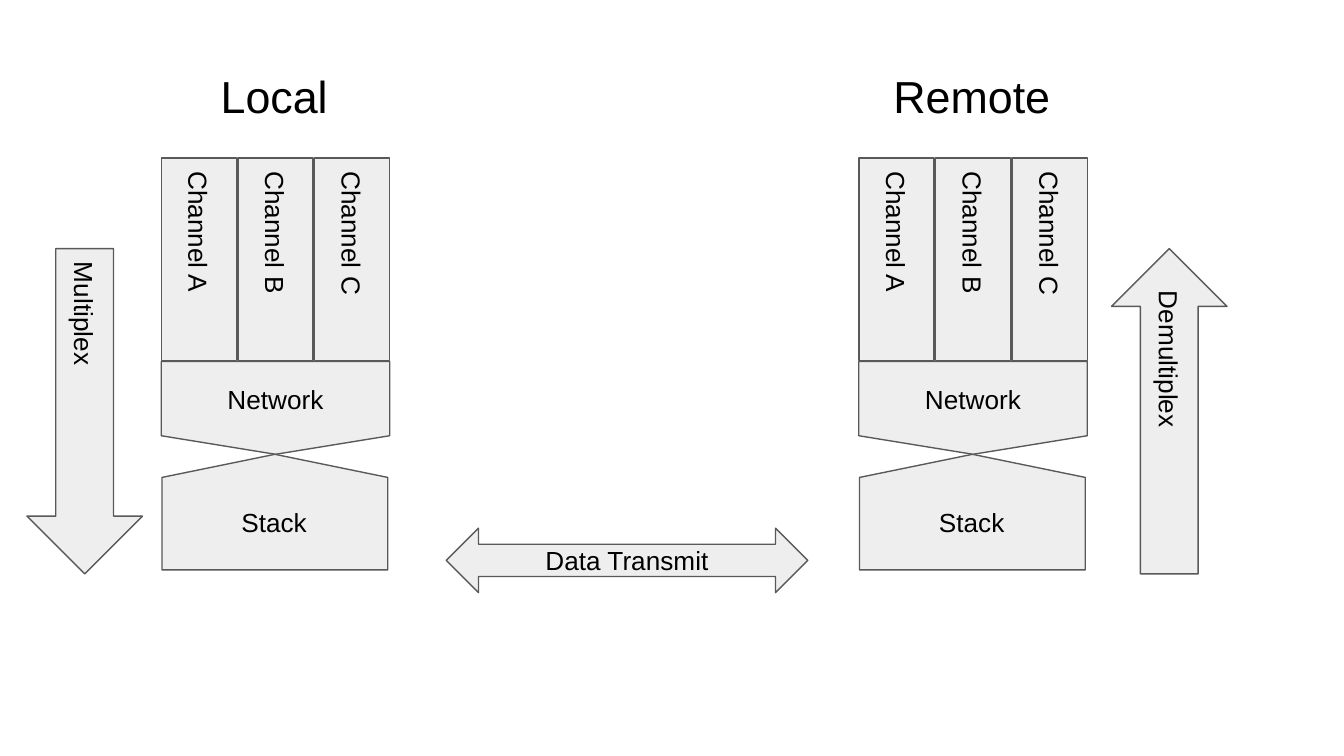
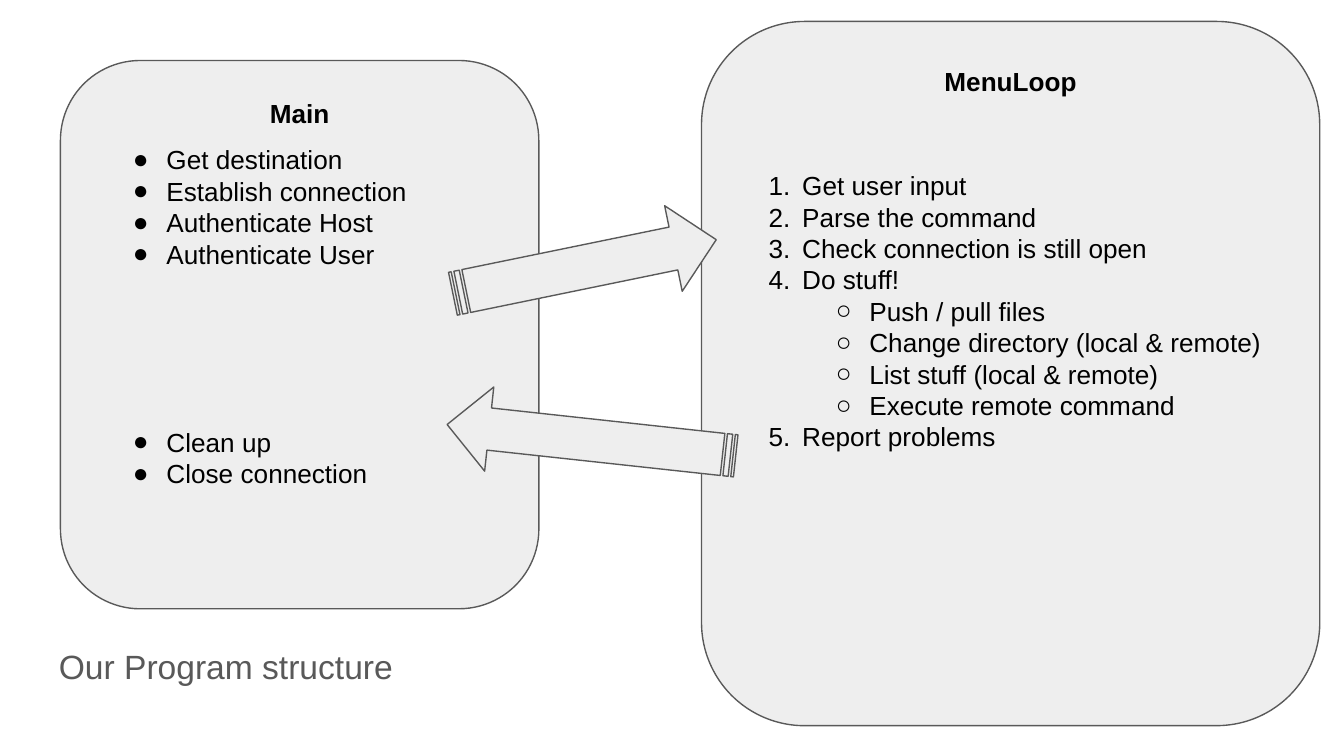
"""Build two slides: channel multiplexing between hosts, and the program structure."""
from dataclasses import dataclass
from typing import Optional

from lxml import etree
from pptx import Presentation
from pptx.dml.color import RGBColor
from pptx.enum.shapes import MSO_SHAPE
from pptx.enum.text import MSO_ANCHOR, PP_ALIGN
from pptx.oxml.ns import qn
from pptx.shapes.autoshape import Shape
from pptx.slide import Slide
from pptx.util import Inches, Pt

RECT = MSO_SHAPE.RECTANGLE
ROUNDED = MSO_SHAPE.ROUNDED_RECTANGLE
FUNNEL = MSO_SHAPE.FLOWCHART_OFFPAGE_CONNECTOR
LEFT_ARROW = MSO_SHAPE.LEFT_ARROW
RIGHT_ARROW = MSO_SHAPE.RIGHT_ARROW
TWO_WAY_ARROW = MSO_SHAPE.LEFT_RIGHT_ARROW
STRIPED_ARROW = MSO_SHAPE.STRIPED_RIGHT_ARROW
TOP, MIDDLE = MSO_ANCHOR.TOP, MSO_ANCHOR.MIDDLE
LEFT, CENTER = PP_ALIGN.LEFT, PP_ALIGN.CENTER

PALE = RGBColor(0xEE, 0xEE, 0xEE)
GREY = RGBColor(0x59, 0x59, 0x59)
BLACK = RGBColor(0, 0, 0)

FONT = "Arial"
BODY_SIZE, CAPTION_SIZE, HEADING_SIZE = 14, 18, 24
LINE_HEIGHT = 16.8
SLIDE_WIDTH, SLIDE_HEIGHT = Inches(10), Inches(5.625)
CELL = SLIDE_WIDTH // 100
INSET = 1
INDENT = 2.5
DOT, RING, NUMBER = "\u25cf", "\u25cb", "arabicPeriod"


@dataclass(frozen=True)
class Box:
    """A place on the slide, in grid columns and rows."""

    left: float
    top: float
    width: float
    height: float

    def shifted(self, columns: float) -> "Box":
        """Return the same box moved sideways."""
        return Box(self.left + columns, self.top, self.width, self.height)

    def emu(self) -> list[int]:
        """Return the box in drawing units."""
        return [round(n * CELL) for n in (self.left, self.top, self.width, self.height)]


@dataclass(frozen=True)
class Item:
    """A line of text with its list marker."""

    text: str
    marker: Optional[str] = None
    level: int = 0
    lines_before: int = 0


@dataclass(frozen=True)
class Host:
    """One end of the link."""

    title: str
    left: float


@dataclass(frozen=True)
class Panel:
    """A titled part of the program and its steps."""

    title: str
    frame: Box
    steps_box: Box
    steps: list[Item]
    inset_top: float = INSET


HOSTS = [Host("Local", 12), Host("Remote", 63.9)]
CHANNELS = ["Channel A", "Channel B", "Channel C"]
CHANNEL_BOX = Box(-4.75, 16.5, 15.1, 5.6)
CHANNEL_STEP = 5.7
HEADING_BOX = Box(-0.2, 4.1, 17.2, 6.9)
NETWORK_BOX = Box(0, 26.9, 17, 6.9)
STACK_BOX = Box(0.05, 33.8, 16.8, 8.6)
STACK_LABEL_BOX = Box(0, 36.7, 16.8, 4.4)

PANELS = [
    Panel("Main", Box(4.5, 4.5, 35.6, 40.8), Box(6.4, 9.7, 31.4, 34.1), [
        Item("Get destination", DOT),
        Item("Establish connection", DOT),
        Item("Authenticate Host", DOT),
        Item("Authenticate User", DOT),
        Item("Clean up", DOT, lines_before=5),
        Item("Close connection", DOT),
    ]),
    Panel("MenuLoop", Box(52.2, 1.6, 46, 52.4), Box(53.7, 9.3, 43.8, 39), [
        Item("Get user input", NUMBER),
        Item("Parse the command", NUMBER),
        Item("Check connection is still open", NUMBER),
        Item("Do stuff!", NUMBER),
        Item("Push / pull files", RING, 1),
        Item("Change directory (local & remote)", RING, 1),
        Item("List stuff (local & remote)", RING, 1),
        Item("Execute remote command", RING, 1),
        Item("Report problems", NUMBER),
    ], inset_top=3.33),
]
CALLS = [(Box(33.5, 16.6, 20, 6.5), 348.4), (Box(33.2, 29.6, 21.6, 6.3), 186.2)]


def write(shape: Shape, *items: Item, size: float = BODY_SIZE, color: RGBColor = BLACK,
          bold: bool = False, align: PP_ALIGN = LEFT, anchor: MSO_ANCHOR = TOP,
          inset_top: float = INSET) -> None:
    """Fill a shape with formatted paragraphs."""
    frame = shape.text_frame
    frame.word_wrap = True
    frame.vertical_anchor = anchor
    frame.margin_left = frame.margin_right = frame.margin_bottom = INSET * CELL
    frame.margin_top = round(inset_top * CELL)
    for index, item in enumerate(items):
        paragraph = frame.add_paragraph() if index else frame.paragraphs[0]
        paragraph.alignment = align
        paragraph.level = item.level
        if item.lines_before:
            paragraph.space_before = Pt(item.lines_before * LINE_HEIGHT)
        run = paragraph.add_run()
        run.text = item.text
        run.font.name, run.font.size, run.font.bold = FONT, Pt(size), bold
        run.font.color.rgb = color
        if item.marker:
            properties = paragraph._p.get_or_add_pPr()
            properties.set("marL", str(round(2 * INDENT * CELL * (item.level + 1))))
            properties.set("indent", str(round(-INDENT * CELL)))
            etree.SubElement(properties, qn("a:buFont"), typeface=FONT)
            if item.marker == NUMBER:
                etree.SubElement(properties, qn("a:buAutoNum"), type=NUMBER)
            else:
                etree.SubElement(properties, qn("a:buChar"), char=item.marker)


def add_block(slide: Slide, kind: MSO_SHAPE, box: Box, rotation: float = 0) -> Shape:
    """Draw a pale outlined shape."""
    block = slide.shapes.add_shape(kind, *box.emu())
    block.rotation = rotation
    block.shadow.inherit = False
    block.fill.solid()
    block.fill.fore_color.rgb = PALE
    block.line.color.rgb = GREY
    block.line.width = Pt(0.75)
    return block


def add_label(slide: Slide, box: Box) -> Shape:
    """Add an empty text box."""
    return slide.shapes.add_textbox(*box.emu())


def draw_host(slide: Slide, host: Host) -> None:
    """Draw one host with its channels, network and stack."""
    write(add_label(slide, HEADING_BOX.shifted(host.left)), Item(host.title),
          size=HEADING_SIZE, align=CENTER)
    network = add_block(slide, FUNNEL, NETWORK_BOX.shifted(host.left))
    write(network, Item("Network"), align=CENTER, anchor=MIDDLE)
    add_block(slide, FUNNEL, STACK_BOX.shifted(host.left), 180)
    write(add_label(slide, STACK_LABEL_BOX.shifted(host.left)), Item("Stack"), align=CENTER)
    for index, name in enumerate(CHANNELS):
        place = CHANNEL_BOX.shifted(host.left + index * CHANNEL_STEP)
        write(add_block(slide, RECT, place, 90), Item(name), anchor=MIDDLE)


def draw_multiplexing(slide: Slide) -> None:
    """Draw both hosts and the flows along and between them."""
    for host in HOSTS:
        draw_host(slide, host)
    transmit = add_block(slide, TWO_WAY_ARROW, Box(33.2, 39.3, 26.9, 4.8))
    write(transmit, Item("Data Transmit"), align=CENTER, anchor=MIDDLE)
    for name, kind, left in (("Multiplex", RIGHT_ARROW, -5.8), ("Demultiplex", LEFT_ARROW, 74.9)):
        flow = add_block(slide, kind, Box(left, 26.3, 24.2, 8.6), 90)
        write(flow, Item(name), anchor=MIDDLE)


def draw_structure(slide: Slide) -> None:
    """Draw the program's two parts and the calls between them."""
    write(add_label(slide, Box(3.4, 46.3, 65.6, 6.6)), Item("Our Program structure"),
          size=CAPTION_SIZE, color=GREY, anchor=MIDDLE)
    for panel in PANELS:
        write(add_block(slide, ROUNDED, panel.frame), Item(panel.title), bold=True, align=CENTER)
        write(add_label(slide, panel.steps_box), *panel.steps, inset_top=panel.inset_top)
    for box, rotation in CALLS:
        add_block(slide, STRIPED_ARROW, box, rotation)


def main() -> None:
    """Build and save the presentation."""
    deck = Presentation()
    deck.slide_width, deck.slide_height = SLIDE_WIDTH, SLIDE_HEIGHT
    blank = deck.slide_layouts[6]
    for draw in (draw_multiplexing, draw_structure):
        draw(deck.slides.add_slide(blank))
    deck.save("out.pptx")


main()
